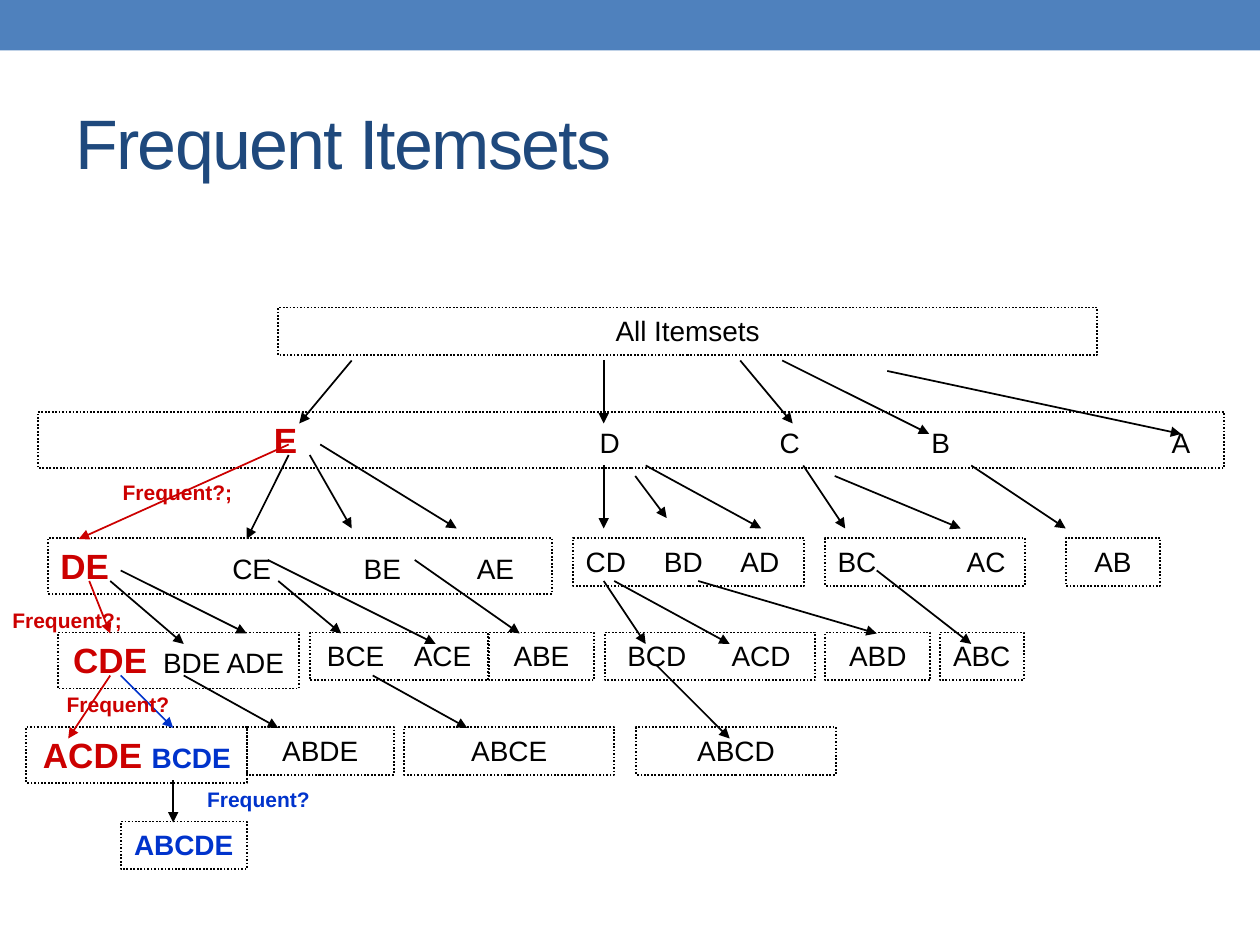
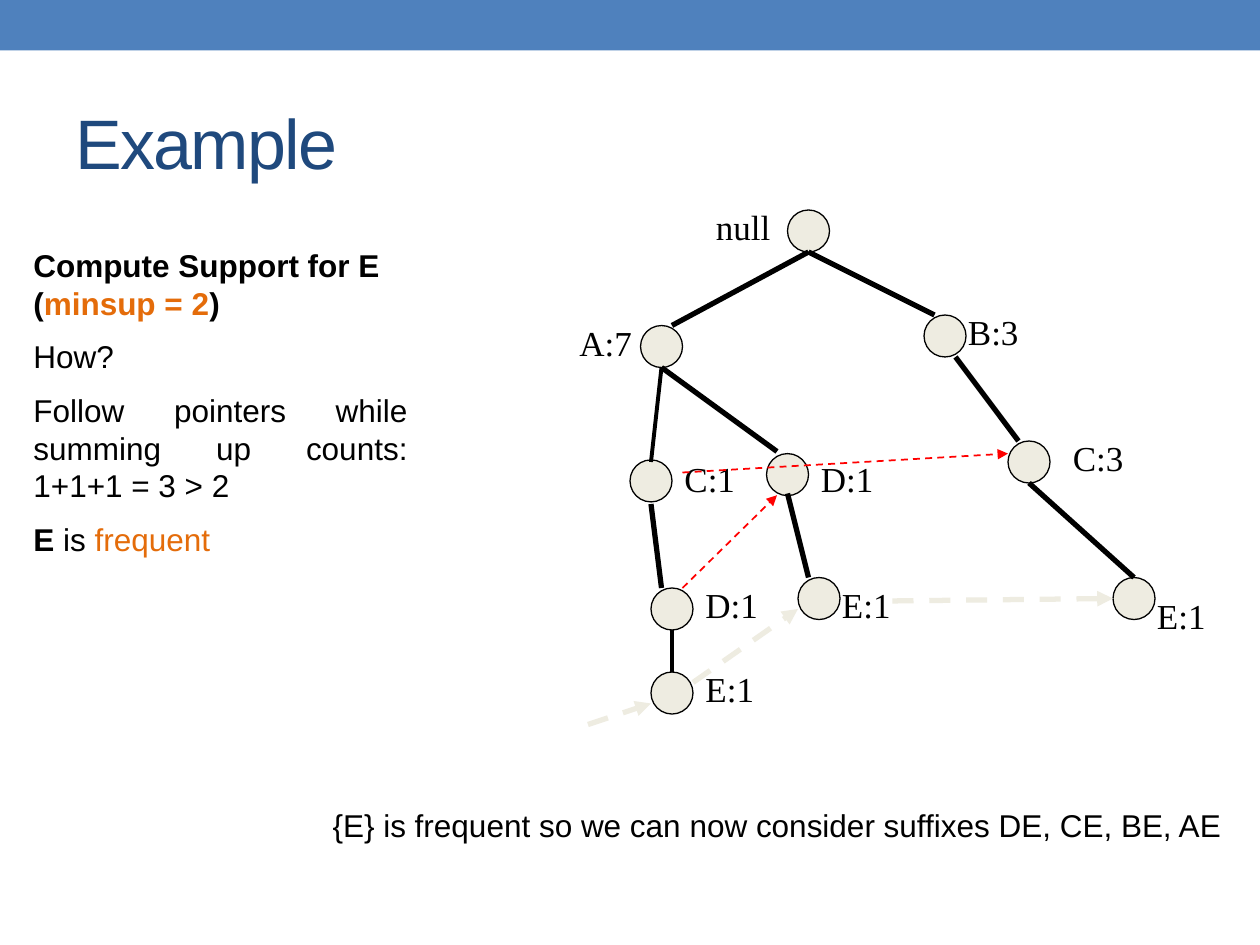
from dataclasses import dataclass

from lxml.etree import SubElement
from pptx import Presentation
from pptx.dml.color import RGBColor
from pptx.enum.dml import MSO_LINE
from pptx.enum.shapes import MSO_CONNECTOR, MSO_SHAPE
from pptx.enum.text import MSO_ANCHOR, PP_ALIGN
from pptx.oxml.ns import qn
from pptx.util import Pt


@dataclass(frozen=True)
class Theme:
    band: str = "4F81BD"
    title: str = "1F497D"
    ink: str = "000000"
    red: str = "CC0000"
    blue: str = "0033CC"
    orange: str = "E46C0A"
    pointer: str = "FF0000"
    beige: str = "EEECE1"
    sans: str = "Arial"
    serif: str = "Times New Roman"
    title_size: float = 40
    large: float = 20
    body: float = 18
    item: float = 16
    note: float = 12
    paragraph_gap: float = 9


THEME = Theme()


def font_format(size, color=THEME.ink, bold=False, name=THEME.sans):
    return {"size": Pt(size), "bold": bold, "name": name, "color": color}


TITLE = font_format(THEME.title_size, THEME.title)
ITEM = font_format(THEME.item)
ITEM_RED = font_format(THEME.large, THEME.red, True)
ITEM_BLUE = font_format(THEME.item, THEME.blue, True)
NOTE_RED = font_format(THEME.note, THEME.red, True)
NOTE_BLUE = font_format(THEME.note, THEME.blue, True)
BODY = font_format(THEME.body)
BODY_BOLD = font_format(THEME.body, bold=True)
NODE_LABEL = font_format(THEME.large, name=THEME.serif)


class SlideBuilder:
    def __init__(self, theme):
        self.theme = theme
        self.deck = Presentation()
        self.deck.slide_width, self.deck.slide_height = Pt(720), Pt(540)
        self.page = None

    def new_page(self, title):
        self.page = self.deck.slides.add_slide(self.deck.slide_layouts[6])
        self.shape(MSO_SHAPE.RECTANGLE, 0, 0, 720, 28.8, fill=self.theme.band)
        box = self.text(36, 42, 648, 78, [[(title, TITLE)]], anchor=MSO_ANCHOR.MIDDLE)
        for span in box.text_frame.paragraphs[0].runs:
            span.font._element.set("spc", "-100")

    def stroke(self, line, color, width, dash=None):
        line.color.rgb = RGBColor.from_string(color)
        values = {"width": Pt(width), "dash_style": dash}
        for name, value in values.items():
            setattr(line, name, value)

    def shape(self, kind, left, top, width, height, fill=None, line=None):
        shape = self.page.shapes.add_shape(kind, Pt(left), Pt(top), Pt(width), Pt(height))
        shape.shadow.inherit = False
        if fill:
            shape.fill.solid()
            shape.fill.fore_color.rgb = RGBColor.from_string(fill)
        else:
            shape.fill.background()
        if line:
            self.stroke(shape.line, *line)
        else:
            shape.line.fill.background()
        return shape

    def set_text(self, box, paragraphs, align=PP_ALIGN.LEFT, anchor=MSO_ANCHOR.TOP):
        frame = box.text_frame
        for name, value in {"word_wrap": True, "vertical_anchor": anchor}.items():
            setattr(frame, name, value)
        for index, spans in enumerate(paragraphs):
            para = frame.add_paragraph() if index else frame.paragraphs[0]
            para.alignment = align
            if index:
                para.space_before = Pt(self.theme.paragraph_gap)
            for text, style in spans:
                span = para.add_run()
                span.text = text
                for name, value in style.items():
                    if name == "color":
                        span.font.color.rgb = RGBColor.from_string(value)
                    else:
                        setattr(span.font, name, value)
        return box

    def text(self, left, top, width, height, paragraphs, **layout):
        box = self.page.shapes.add_textbox(Pt(left), Pt(top), Pt(width), Pt(height))
        return self.set_text(box, paragraphs, **layout)

    def itemset_box(self, left, top, width, words):
        height = 32 if any(style is ITEM_RED for _, style, _ in words) else 27.3
        box = self.shape(MSO_SHAPE.RECTANGLE, left, top, width, height,
                         line=(self.theme.ink, 1, MSO_LINE.ROUND_DOT))
        if len(words) == 1:
            text, style, _ = words[0]
            self.set_text(box, [[(text, style)]], align=PP_ALIGN.CENTER)
            return
        self.set_text(box, [[("\t" + text, style) for text, style, _ in words]])
        properties = box.text_frame.paragraphs[0]._p.get_or_add_pPr()
        stops = SubElement(properties, qn("a:tabLst"))
        for _, _, center in words:
            position = Pt(center - left) - box.text_frame.margin_left
            SubElement(stops, qn("a:tab"), pos=str(position), algn="ctr")

    def connect(self, start, end, color=THEME.ink, width=1, dash=None, arrow=True):
        link = self.page.shapes.add_connector(
            MSO_CONNECTOR.STRAIGHT, *(Pt(value) for value in (*start, *end)))
        self.stroke(link.line, color, width, dash)
        properties = link._element.spPr
        if arrow:
            SubElement(properties.find(qn("a:ln")), qn("a:tailEnd"), type="triangle")
        SubElement(properties, qn("a:effectLst"))

    def node(self, left, top, label, label_left, label_top):
        self.shape(MSO_SHAPE.OVAL, left, top, 24, 24, self.theme.beige,
                   (self.theme.ink, 0.75))
        self.text(label_left, label_top, 48, 31, [[(label, NODE_LABEL)]])


def plain(*words):
    return [(text, ITEM, center) for text, center in words]


def single(text, style=ITEM):
    return [(text, style, None)]


ITEMSET_ROWS = {
    175.7: [(159, 468, single("All Itemsets"))],
    235.4: [(21.6, 678, [("Ε", ITEM_RED, 163.4)]
             + plain(("D", 348.6), ("C", 451.4), ("B", 537.7), ("A", 675)))],
    307.4: [
        (27.4, 288, [("DE", ITEM_RED, 48)]
         + plain(("CE", 144), ("BE", 218.6), ("AE", 283.2))),
        (327.6, 132, plain(("CD", 345.7), ("BD", 390.6), ("AD", 434.3))),
        (471.6, 114, plain(("BC", 489.3), ("AC", 563.6))),
        (609, 54, single("AB")),
    ],
    361.4: [
        (33, 138, [("CDE", ITEM_RED, 63.1)] + plain(("BDE", 109.7), ("ADE", 146))),
        (177, 102, plain(("BCE", 203.4), ("ACE", 253))),
        (279.4, 60, single("ABE")),
        (345.6, 120, plain(("BCD", 375.4), ("ACD", 435))),
        (471.6, 60, single("ABD")),
        (537, 48, single("ABC")),
    ],
    415.4: [
        (15, 126, [("ACDE", ITEM_RED, 53), ("BCDE", ITEM_BLUE, 109.4)]),
        (141, 84, single("ABDE")),
        (231, 120, single("ABCE")),
        (363.6, 114, single("ABCD")),
    ],
    469.4: [(69, 72, single("ABCDE", ITEM_BLUE))],
}

ITEMSET_ARROWS = {
    THEME.ink: [
        ((201, 206), (171, 242)), ((345, 206), (345, 242)), ((423, 206), (453, 242)),
        ((447, 206), (531, 248)), ((507, 212), (675, 248)),
        ((165, 260), (141, 308)), ((177, 260), (201, 302)), ((183, 254), (261, 302)),
        ((345, 266), (345, 302)), ((363, 272), (381, 296)), ((369, 266), (435, 302)),
        ((459, 266), (483, 302)), ((477, 272), (549, 302)), ((555, 266), (609, 302)),
        ((63, 332), (105, 368)), ((69, 326), (141, 362)), ((159, 332), (195, 362)),
        ((153, 320), (249, 368)), ((237, 320), (297, 362)), ((345, 332), (369, 368)),
        ((351, 332), (417, 368)), ((399, 332), (501, 362)), ((501, 326), (555, 368)),
        ((105, 386), (159, 416)), ((213, 386), (267, 416)), ((375, 380), (417, 422)),
        ((99, 446), (99, 470)),
    ],
    THEME.red: [((165, 254), (45, 308)), ((51, 332), (63, 362)), ((63, 386), (39, 422))],
    THEME.blue: [((69, 386), (99, 416))],
}

FREQUENCY_NOTES = [
    (0, 343.4, "Frequent?;", NOTE_RED),
    (63, 270.7, "Frequent?;", NOTE_RED),
    (31, 391.7, "Frequent?", NOTE_RED),
    (111.3, 445.7, "Frequent?", NOTE_BLUE),
]

TREE_NODES = [
    (450, 120, "null", 402, 114),
    (366, 186, "A:7", 324, 180),
    (528, 180, "B:3", 546, 174),
    (576, 252, "C:3", 606, 246),
    (360, 262.8, "C:1", 384, 258),
    (438, 259.2, "D:1", 462, 258),
    (372, 336, "D:1", 396, 330),
    (456, 330, "E:1", 474, 330),
    (636, 330, "E:1", 654, 336),
    (372, 384, "E:1", 396, 378),
]

TREE_EDGES = {
    3: [
        ((462, 144), (384, 186)), ((462, 144), (534, 180)), ((582, 252), (546, 204)),
        ((372, 288), (378, 336)), ((648, 330), (588, 276)), ((444, 258), (378, 210)),
        ((462, 330), (450, 282)),
    ],
    2.25: [((372, 264), (378, 210)), ((384, 360), (384, 384))],
}

NODE_POINTERS = {
    (THEME.pointer, 1): [((390, 336), (444, 283)), ((390, 270), (576, 259.2))],
    (THEME.beige, 3): [
        ((336, 414), (372, 402)), ((396, 390), (456, 348)), ((510, 343.4), (636, 342)),
    ],
}

SUPPORT_STEPS = [
    [("Compute Support for E (", BODY_BOLD),
     ("minsup = 2", font_format(THEME.body, THEME.orange, True)), (")", BODY_BOLD)],
    [("How?", BODY)],
    [("Follow pointers while summing up counts: 1+1+1 = 3 > 2", BODY)],
    [("E ", BODY_BOLD), ("is ", BODY), ("frequent", font_format(THEME.body, THEME.orange))],
]


def add_itemsets_page(builder):
    builder.new_page("Frequent Itemsets")
    for top, boxes in ITEMSET_ROWS.items():
        for left, width, words in boxes:
            builder.itemset_box(left, top, width, words)
    for color, arrows in ITEMSET_ARROWS.items():
        for start, end in arrows:
            builder.connect(start, end, color)
    for left, top, text, style in FREQUENCY_NOTES:
        builder.text(left, top, 84, 21.6, [[(text, style)]])


def add_example_page(builder):
    builder.new_page("Example")
    for node in TREE_NODES:
        builder.node(*node)
    for width, edges in TREE_EDGES.items():
        for start, end in edges:
            builder.connect(start, end, width=width, arrow=False)
    for (color, width), pointers in NODE_POINTERS.items():
        for start, end in pointers:
            builder.connect(start, end, color, width, MSO_LINE.DASH)
    steps = builder.text(12, 137, 228, 193, SUPPORT_STEPS, align=PP_ALIGN.JUSTIFY)
    steps.text_frame.paragraphs[0].alignment = PP_ALIGN.LEFT
    conclusion = "{E} is frequent so we can now consider suffixes DE, CE, BE, AE"
    builder.text(180, 457.2, 528, 28.8, [[(conclusion, BODY)]], align=PP_ALIGN.CENTER)


def main():
    builder = SlideBuilder(THEME)
    add_itemsets_page(builder)
    add_example_page(builder)
    builder.deck.save("out.pptx")


if __name__ == "__main__":
    main()
